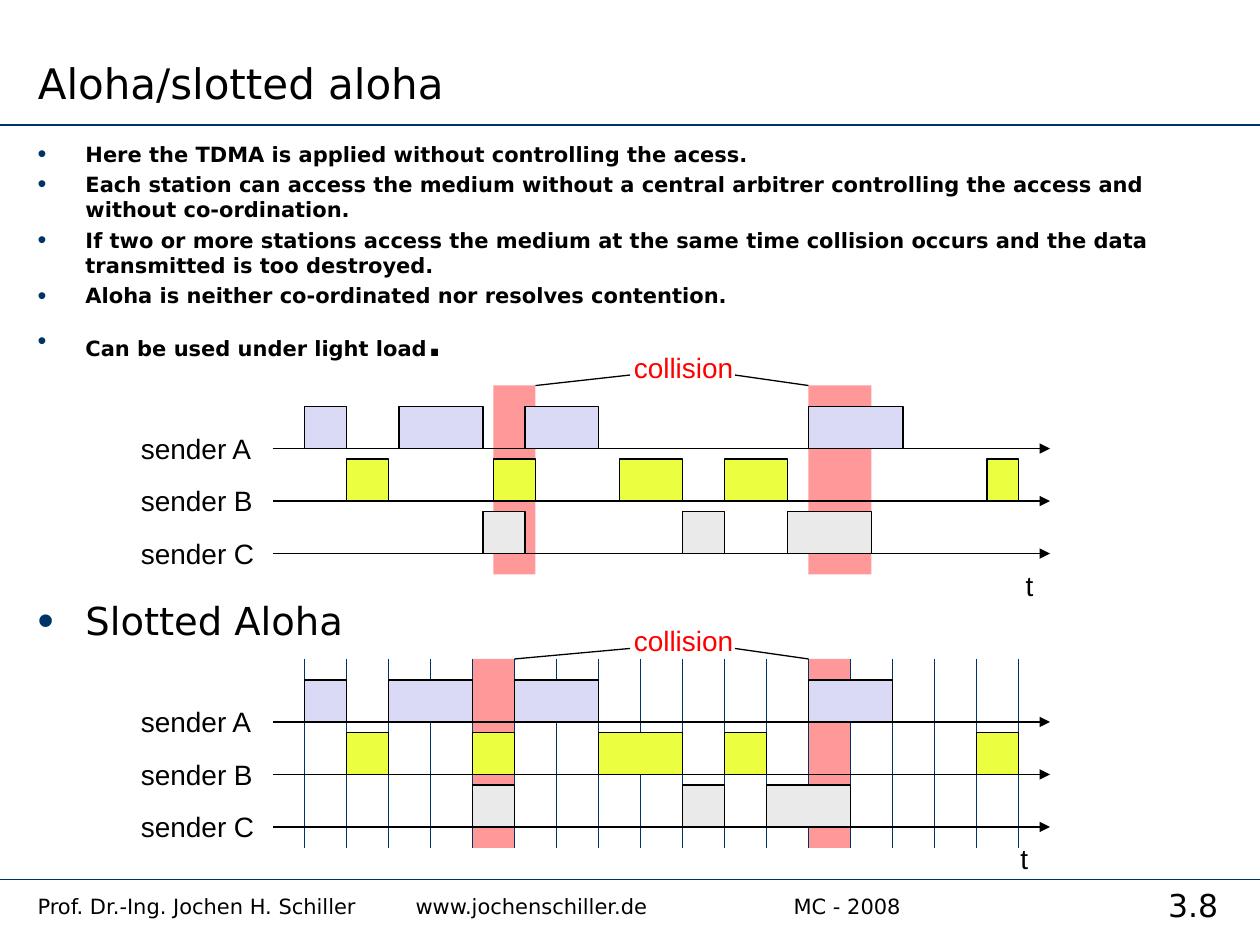
from lxml.etree import SubElement
from pptx import Presentation
from pptx.dml.color import RGBColor
from pptx.enum.shapes import MSO_CONNECTOR as Link, MSO_SHAPE as Form
from pptx.enum.text import MSO_ANCHOR as Anchor, PP_ALIGN as Align
from pptx.oxml.ns import qn
from pptx.util import Inches, Pt

NAVY, BLACK, RED, PINK = "003366", "000000", "FF0000", "FF9999"
SANS = "DejaVu Sans"
UNIT = 1 / 12  # a quarter of a time slot, in inches
START = 29 * UNIT
FILLS = {"A": "DADAF6", "B": "ECFE40", "C": "EAEAEA"}

# Packets and collisions as (start, length) in units
PURE = {
    "A": [(0, 4), (9, 8), (21, 7), (48, 9)],
    "B": [(4, 4), (18, 4), (30, 6), (40, 6), (65, 3)],
    "C": [(17, 4), (36, 4), (46, 8)],
}
PURE_HITS = [(18, 4), (48, 6)]
SLOTTED = {
    "A": [(0, 4), (8, 8), (20, 8), (48, 8)],
    "B": [(4, 4), (16, 4), (28, 8), (40, 4), (64, 4)],
    "C": [(16, 4), (36, 4), (44, 8)],
}
SLOT_HITS = [(16, 4), (48, 4)]
POINTS = [
    "Here the TDMA is applied without controlling the acess.",
    "Each station can access the medium without a central arbitrer "
    "controlling the access and without co-ordination.",
    "If two or more stations access the medium at the same time collision "
    "occurs and the data transmitted is too destroyed.",
    "Aloha is neither co-ordinated nor resolves contention.",
]


def color(code):
    return RGBColor.from_string(code)


def style(font, code=BLACK, **values):
    """Set font attributes from the given values."""
    for key, value in values.items():
        setattr(font, key, value)
    font.color.rgb = color(code)


def line(slide, x1, y1, x2, y2, code=BLACK, width=0.75, arrow=False):
    link = slide.shapes.add_connector(
        Link.STRAIGHT, Inches(x1), Inches(y1), Inches(x2), Inches(y2))
    link.line.color.rgb = color(code)
    link.line.width = Pt(width)
    if arrow:
        SubElement(link.line._get_or_add_ln(), qn("a:tailEnd"), type="triangle")
    SubElement(link._element.spPr, qn("a:effectLst"))


def block(slide, x, y, w, h, fill, edge=None):
    rect = slide.shapes.add_shape(
        Form.RECTANGLE, Inches(x), Inches(y), Inches(w), Inches(h))
    rect.shadow.inherit = False
    rect.fill.solid()
    rect.fill.fore_color.rgb = color(fill)
    if edge:
        rect.line.color.rgb = color(edge)
        rect.line.width = Pt(0.75)
    else:
        rect.line.fill.background()


def label(slide, x, y, w, h, text, size=16, face="Arial", code=BLACK,
          align=Align.LEFT, wrap=False, anchor=Anchor.MIDDLE):
    box = slide.shapes.add_textbox(Inches(x), Inches(y), Inches(w), Inches(h))
    frame = box.text_frame
    frame.word_wrap = wrap
    frame.vertical_anchor = anchor
    para = frame.paragraphs[0]
    para.text = text
    para.alignment = align
    style(para.font, code, size=Pt(size), name=face)
    return para


def heading(slide, x, y, w, h):
    title = slide.shapes.title
    place = dict(left=x, top=y, width=w, height=h)
    for key, value in place.items():
        setattr(title, key, Inches(value))
    frame = title.text_frame
    frame.text = "Aloha/slotted aloha"
    frame.vertical_anchor = Anchor.BOTTOM
    para = frame.paragraphs[0]
    para.alignment = Align.LEFT
    style(para.font, size=Pt(24), name=SANS)


def bullet(para):
    props = para._p.get_or_add_pPr()
    props.set("marL", str(Inches(0.38)))
    props.set("indent", str(-Inches(0.38)))
    SubElement(SubElement(props, qn("a:buClr")), qn("a:srgbClr"), val=NAVY)
    SubElement(props, qn("a:buSzPct"), val="120000")
    SubElement(props, qn("a:buFont"), typeface="Arial")
    SubElement(props, qn("a:buChar"), char="•")


def points(slide, x, y, w, h):
    box = slide.shapes.add_textbox(Inches(x), Inches(y), Inches(w), Inches(h))
    frame = box.text_frame
    frame.word_wrap = True
    rows = [(text, 12, True, 3) for text in POINTS]
    rows += [("Can be used under light load", 12, True, 5.5),
             ("Slotted Aloha", 22, False, 133.5)]
    for i, (text, size, bold, gap) in enumerate(rows):
        para = frame.add_paragraph() if i else frame.paragraphs[0]
        bullet(para)
        if i:
            para.space_before = Pt(gap)
        para.add_run().text = text
        style(para.runs[0].font, size=Pt(size), bold=bold, name=SANS)
    dot = frame.paragraphs[-2].add_run()
    dot.text = "."
    style(dot.font, size=Pt(22), bold=True, name=SANS)


def diagram(slide, top, senders, hits, end, slots=0):
    """Draw the senders' packets over time, with an optional slot grid."""
    def at(n):
        return START + n * UNIT

    tall = 18 * UNIT
    for start, size in hits:
        block(slide, at(start), top, size * UNIT, tall, PINK)
    for n in range(slots):
        line(slide, at(4 * n), top, at(4 * n), top + tall, NAVY)
    for row, (name, packets) in enumerate(senders.items()):
        base = top + (6 + 5 * row) * UNIT
        line(slide, at(-3), base, at(71), base, arrow=True)
        label(slide, 1.02, base - 0.19, 1.15, 0.37, f"sender {name}")
        for start, size in packets:
            block(slide, at(start), base - 4 * UNIT, size * UNIT, 4 * UNIT,
                  FILLS[name], BLACK)
    label(slide, 4.93, top - 0.33, 0.99, 0.37, "collision", code=RED,
          align=Align.CENTER)
    (first, size), (last, _) = hits
    line(slide, at(first + size), top, at(31), top - UNIT)
    line(slide, at(last), top, at(41), top - UNIT)
    label(slide, end, top + 1.4, 0.26, 0.37, "t", align=Align.CENTER)


def footer(slide, x, y, w, h):
    para = label(slide, x, y + 0.06, w - 1.06, h - 0.11,
                 "", 12, SANS, wrap=True, anchor=Anchor.TOP)
    props = para._p.get_or_add_pPr()
    tabs = props.makeelement(qn("a:tabLst"))
    props.insert(0, tabs)
    for stop in (3, 6):
        SubElement(tabs, qn("a:tab"), pos=str(Inches(stop)), algn="l")
    run = para.add_run()
    run.text = ("Prof. Dr.-Ing. Jochen H. Schiller\twww.jochenschiller.de"
                "\tMC - 2008")
    style(run.font, size=Pt(12), name=SANS)
    label(slide, x + w - 1.06, y, 1.06, h, "3.8", 18, SANS,
          align=Align.CENTER, wrap=True, anchor=Anchor.TOP)


def main():
    deck = Presentation()
    deck.slide_width, deck.slide_height = Inches(10), Inches(7.5)
    slide = deck.slides.add_slide(deck.slide_layouts[5])
    for y in (0.99, 6.98):
        line(slide, 0, y, 10, y, NAVY, 1)
    heading(slide, 0.2, 0, 6.61, 0.91)
    points(slide, 0.2, 1.07, 9.61, 5.85)
    diagram(slide, 3.06, PURE, PURE_HITS, 8.04)
    diagram(slide, 5.23, SLOTTED, SLOT_HITS, 8, slots=18)
    footer(slide, 0.2, 6.98, 9.8, 0.44)
    deck.save("out.pptx")


if __name__ == "__main__":
    main()
